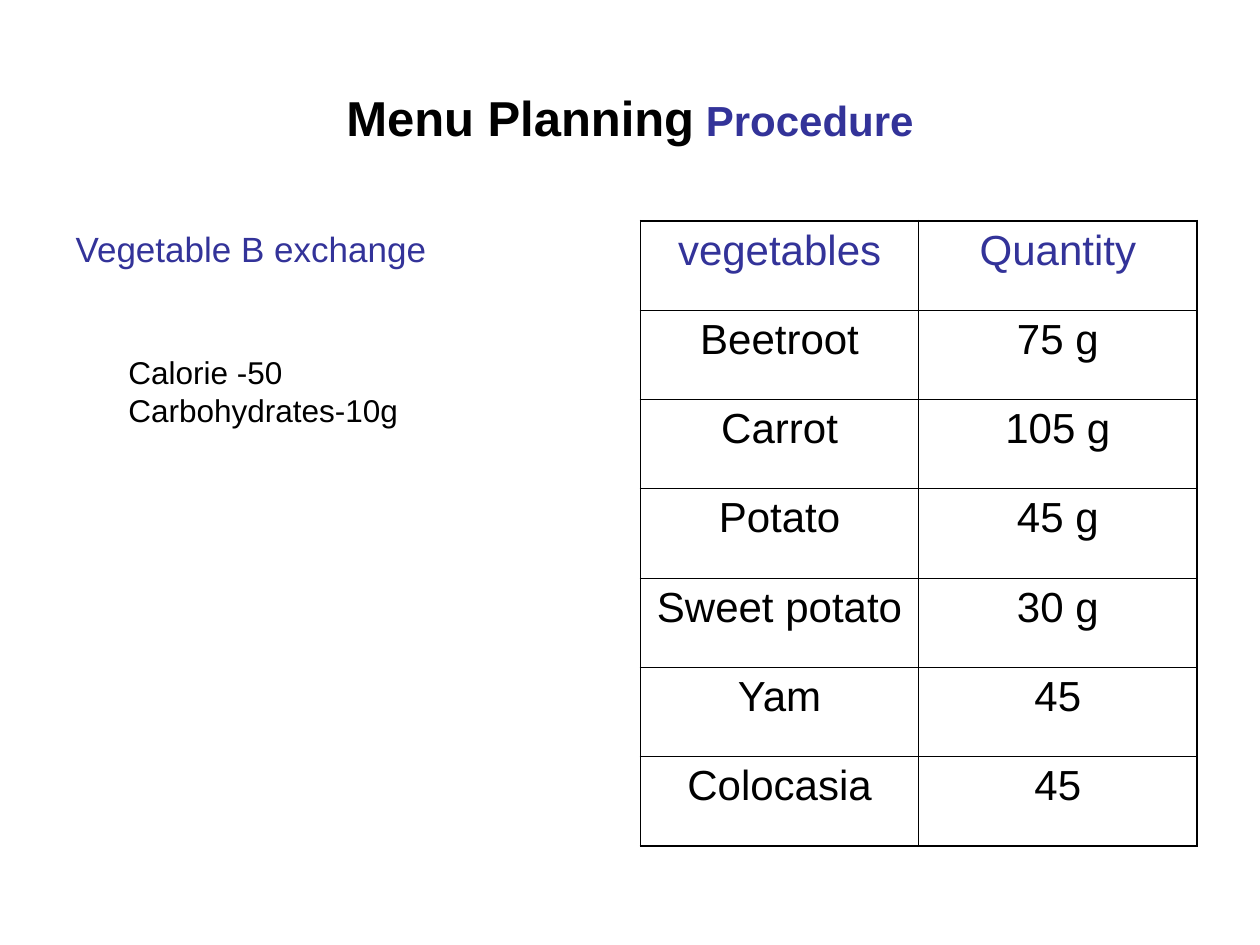
from lxml.etree import SubElement
from pptx import Presentation
from pptx.dml.color import RGBColor
from pptx.enum.text import MSO_ANCHOR, MSO_AUTO_SIZE, PP_ALIGN
from pptx.oxml.ns import qn
from pptx.util import Cm, Pt

BLACK = RGBColor(0x00, 0x00, 0x00)
BLUE = RGBColor(0x33, 0x33, 0x99)

# Content
TITLE = [("Menu Planning", 28, BLACK), (" Procedure", 24, BLUE)]
HEADING = "Vegetable B exchange"
NUTRIENTS = ["Calorie -50", "Carbohydrates-10g"]
EXCHANGES = [
    ("vegetables", "Quantity"),
    ("Beetroot", "75 g"),
    ("Carrot", "105 g"),
    ("Potato", "45 g"),
    ("Sweet potato", "30 g"),
    ("Yam", "45"),
    ("Colocasia", "45"),
]

# Layout
TABLE_LEFT, TABLE_TOP = Cm(12.91), Cm(4.45)
COLUMN_WIDTH, ROW_HEIGHT = Cm(5.61), Cm(1.8)
OUTER_LINE, INNER_LINE = Pt(1.08), Pt(0.45)


def place(shape, left, top, width, height):
    position = dict(left=Cm(left), top=Cm(top), width=Cm(width), height=Cm(height))
    for name, value in position.items():
        setattr(shape, name, value)


def add_span(para, text, size, color, bold=False):
    span = para.add_run()
    span.text = text
    for name, value in dict(name="Arial", size=Pt(size), bold=bold).items():
        setattr(span.font, name, value)
    span.font.color.rgb = color


def set_border(cell, side, width):
    line = SubElement(cell._tc.get_or_add_tcPr(), qn(f"a:ln{side}"), w=str(width))
    fill = SubElement(line, qn("a:solidFill"))
    SubElement(fill, qn("a:srgbClr"), val=str(BLACK))


deck = Presentation()
deck.slide_width, deck.slide_height = Cm(25.4), Cm(19.05)
page = deck.slides.add_slide(deck.slide_layouts[1])

# Title
title = page.shapes.title
place(title, 1.27, 0.76, 22.86, 3.18)
title.text_frame.auto_size = MSO_AUTO_SIZE.NONE
title.text_frame.vertical_anchor = MSO_ANCHOR.MIDDLE
title_para = title.text_frame.paragraphs[0]
title_para.alignment = PP_ALIGN.CENTER
for text, size, color in TITLE:
    add_span(title_para, text, size, color, bold=True)

# Exchange heading
body = page.placeholders[1]
place(body, 1.27, 4.45, 8.05, 4.88)
body.text_frame.auto_size = MSO_AUTO_SIZE.NONE
heading_para = body.text_frame.paragraphs[0]
heading_format = heading_para._p.get_or_add_pPr()
heading_format.set("marL", "0")
heading_format.set("indent", "0")
SubElement(heading_format, qn("a:buNone"))
heading_para.space_before = Pt(0)
add_span(heading_para, HEADING, 20, BLUE)

# Nutrients per exchange
box = page.shapes.add_textbox(Cm(2.34), Cm(6.99), Cm(6.15), Cm(2.95))
box.text_frame.word_wrap = True
for index, text in enumerate(NUTRIENTS):
    para = box.text_frame.add_paragraph() if index else box.text_frame.paragraphs[0]
    add_span(para, text, 18, BLACK)

# Vegetable quantities
row_count, column_count = len(EXCHANGES), len(EXCHANGES[0])
table = page.shapes.add_table(
    row_count, column_count, TABLE_LEFT, TABLE_TOP,
    COLUMN_WIDTH * column_count, ROW_HEIGHT * row_count,
).table
table.first_row = table.horz_banding = False
for row, texts in enumerate(EXCHANGES):
    table.rows[row].height = ROW_HEIGHT
    for column, text in enumerate(texts):
        cell = table.cell(row, column)
        outer_sides = {
            "L": column == 0,
            "R": column == column_count - 1,
            "T": row == 0,
            "B": row == row_count - 1,
        }
        for side, is_outer in outer_sides.items():
            set_border(cell, side, OUTER_LINE if is_outer else INNER_LINE)
        cell.fill.background()
        para = cell.text_frame.paragraphs[0]
        para.alignment = PP_ALIGN.CENTER
        add_span(para, text, 24, BLACK if row else BLUE)

deck.save("out.pptx")
